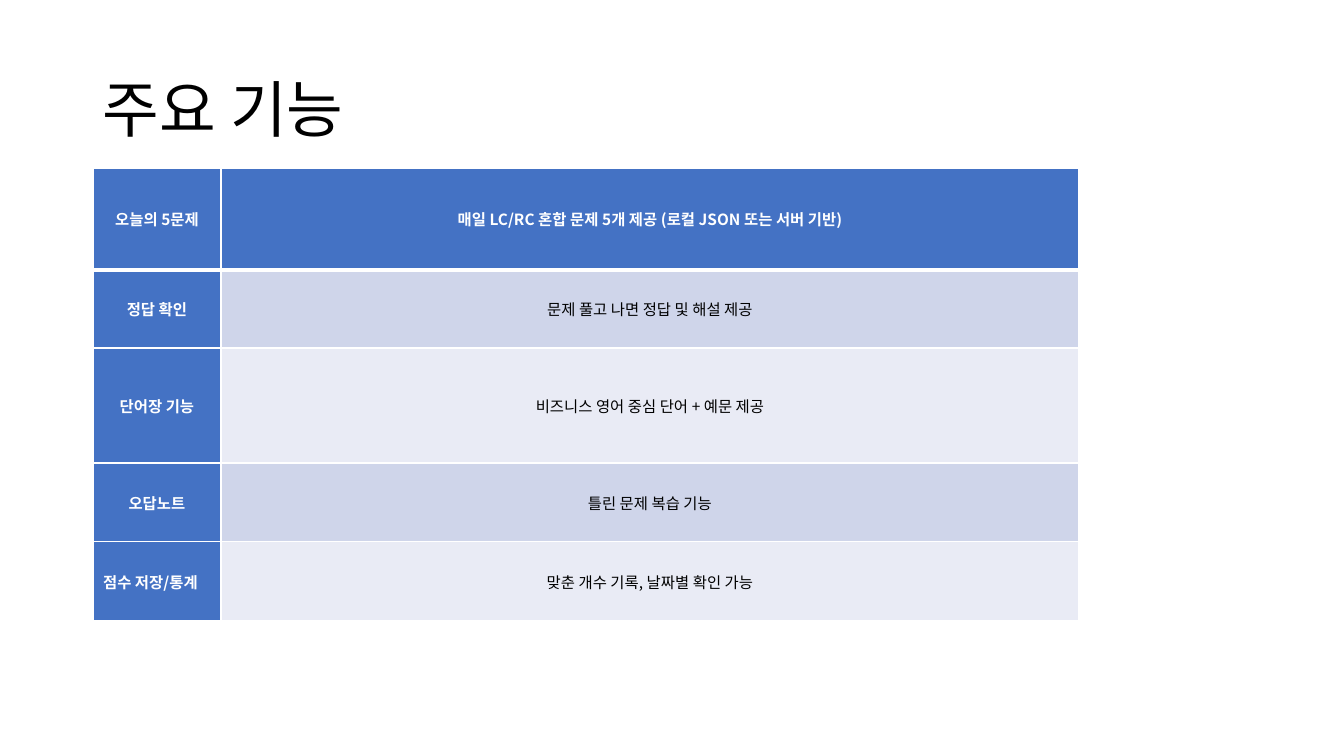
from lxml.etree import SubElement
from pptx import Presentation
from pptx.dml.color import RGBColor
from pptx.enum.text import MSO_ANCHOR as Anchor, PP_ALIGN as Align
from pptx.oxml import parse_xml
from pptx.oxml.ns import nsdecls, qn
from pptx.util import Emu, Pt

SCALE = 914400 / 100.8
THEME = {
    "font": "Noto Sans CJK KR",
    "title_size": 44,
    "table_size": 11,
    "black": "000000",
    "white": "FFFFFF",
    "blue": "4472C4",
    "bands": ["CFD5EA", "E9EBF5"],
}
FEATURES = [
    ("오늘의 5문제", "매일 LC/RC 혼합 문제 5개 제공 (로컬 JSON 또는 서버 기반)"),
    ("정답 확인", "문제 풀고 나면 정답 및 해설 제공"),
    ("단어장 기능", "비즈니스 영어 중심 단어 + 예문 제공"),
    ("오답노트", "틀린 문제 복습 기능"),
    ("점수 저장/통계", "맞춘 개수 기록, 날짜별 확인 가능"),
]
COLUMN_WIDTHS = [128, 858]
ROW_HEIGHTS = [102, 78, 115, 79, 79]


def px(length):
    return Emu(round(length * SCALE))


def style_paragraph(paragraph, size, color, bold=False):
    font = paragraph.font
    font.name = THEME["font"]
    font.size = Pt(size)
    font.bold = bold
    font.color.rgb = RGBColor.from_string(color)
    SubElement(font._element, qn("a:ea"), typeface=THEME["font"])


presentation = Presentation()
presentation.slide_width = px(1344)
presentation.slide_height = px(756)
slide = presentation.slides.add_slide(presentation.slide_layouts[6])

title = slide.shapes.add_textbox(px(93), px(40), px(1159), px(146))
title_frame = title.text_frame
title_frame.word_wrap = True
title_frame.vertical_anchor = Anchor.MIDDLE
title_frame.text = "주요 기능"
title_paragraph = title_frame.paragraphs[0]
title_paragraph.line_spacing = 0.9
style_paragraph(title_paragraph, THEME["title_size"], THEME["black"])

table = slide.shapes.add_table(
    len(FEATURES), len(COLUMN_WIDTHS), px(93), px(168),
    px(sum(COLUMN_WIDTHS)), px(sum(ROW_HEIGHTS)),
).table
for column, width in zip(table.columns, COLUMN_WIDTHS):
    column.width = px(width)
for row, height in zip(table.rows, ROW_HEIGHTS):
    row.height = px(height)

for row_index, feature in enumerate(FEATURES):
    for column_index, text in enumerate(feature):
        cell = table.cell(row_index, column_index)
        is_header = row_index == 0 or column_index == 0
        fill_color = THEME["blue"] if is_header else THEME["bands"][(row_index - 1) % 2]
        text_color = THEME["white"] if is_header else THEME["black"]
        cell.fill.solid()
        cell.fill.fore_color.rgb = RGBColor.from_string(fill_color)
        cell.vertical_anchor = Anchor.MIDDLE
        cell.margin_left = cell.margin_right = px(1)
        cell.margin_top = cell.margin_bottom = px(1)
        cell.text = text
        paragraph = cell.text_frame.paragraphs[0]
        paragraph.alignment = Align.CENTER
        paragraph.space_after = Pt(8)
        style_paragraph(paragraph, THEME["table_size"], text_color, is_header)

        border_widths = {
            "lnL": 1,
            "lnR": 1,
            "lnT": 3 if row_index == 1 else 1,
            "lnB": 3 if row_index == 0 else 1,
        }
        properties = cell._tc.get_or_add_tcPr()
        for position, (side, width) in enumerate(border_widths.items()):
            border = parse_xml(
                f'<a:{side} {nsdecls("a")} w="{Pt(width)}"><a:solidFill>'
                f'<a:srgbClr val="{THEME["white"]}"/></a:solidFill></a:{side}>'
            )
            properties.insert(position, border)

table.cell(len(FEATURES) - 1, 0).margin_right = px(14)

presentation.save("out.pptx")
